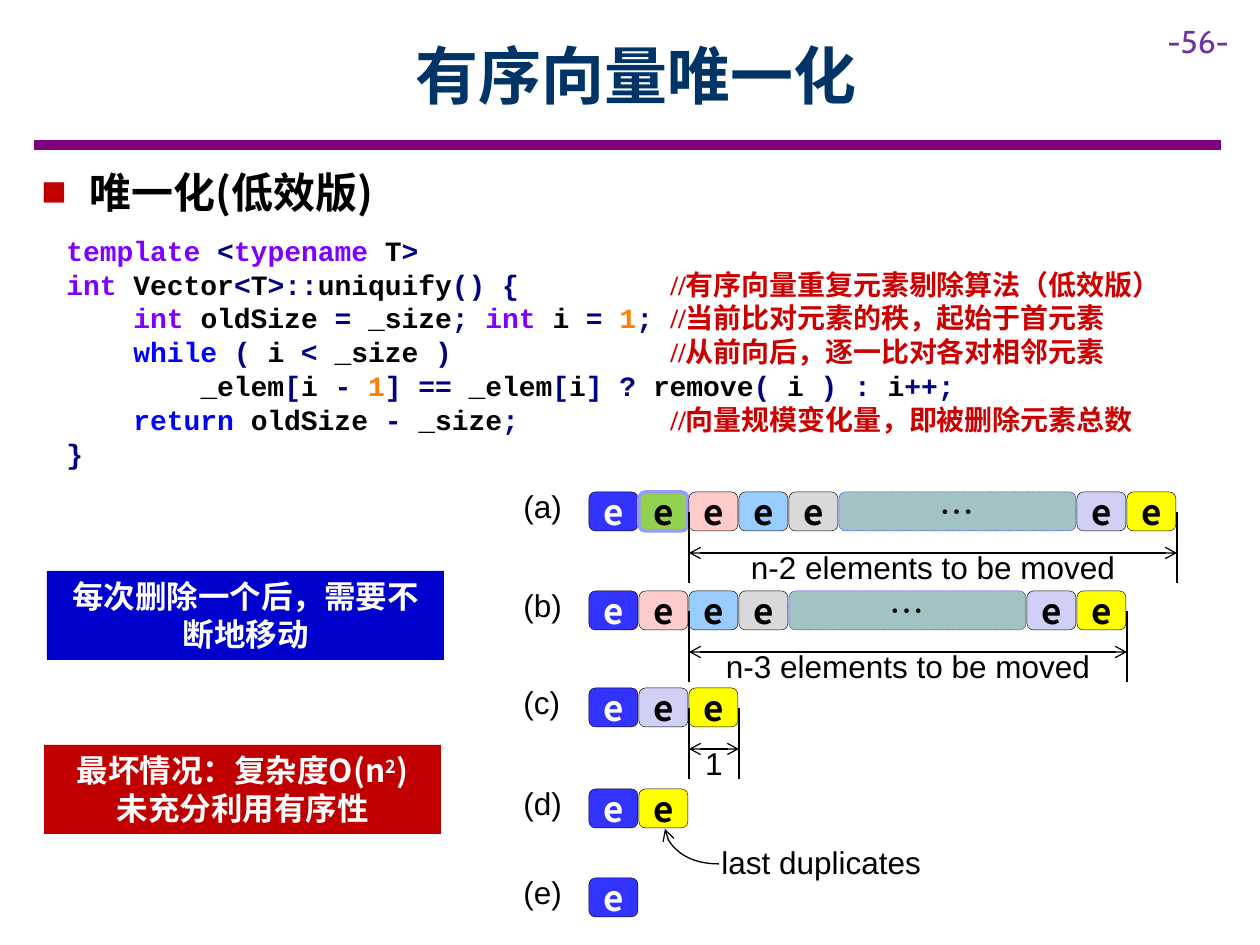
from itertools import groupby

from lxml import etree
from pptx import Presentation, util as u
from pptx.dml.color import RGBColor
from pptx.enum import dml, shapes, text
from pptx.oxml.ns import qn

PX = 914400 // 126
SANS, ARIAL = "Noto Sans CJK SC", "Arial"
CENTER, LEFT = text.PP_ALIGN.CENTER, text.PP_ALIGN.LEFT
BLACK, WHITE = "000000", "FFFFFF"

deck = Presentation()
deck.slide_width, deck.slide_height = 1260 * PX, 945 * PX
page = deck.slides.add_slide(deck.slide_layouts[6])


def write(box, lines, size, color, font=SANS, bold=False, align=LEFT, anchor=text.MSO_ANCHOR.TOP):
    """Fill a box with lines; each line is a list of (words, font overrides)."""
    frame = box.text_frame
    frame.word_wrap = True
    frame.vertical_anchor = anchor
    for index, spans in enumerate(lines):
        para = frame.add_paragraph() if index else frame.paragraphs[0]
        para.alignment = align
        for words, overrides in spans:
            span = para.add_run()
            span.text = words
            style = {"size": u.Pt(size), "name": font, "bold": bold, "color": color} | overrides
            span.font.color.rgb = RGBColor.from_string(style.pop("color"))
            for name, value in style.items():
                setattr(span.font, name, value)
            east_asian = etree.SubElement(span._r.get_or_add_rPr(), qn("a:ea"))
            east_asian.set("typeface", SANS)
    return frame


def draw_line(x1, y1, x2, y2, color=BLACK, width=0.75, arrows=(), kind=shapes.MSO_CONNECTOR.STRAIGHT):
    line = page.shapes.add_connector(kind, x1 * PX, y1 * PX, x2 * PX, y2 * PX)
    line.line.color.rgb = RGBColor.from_string(color)
    line.line.width = u.Pt(width)
    for end in arrows:
        etree.SubElement(line.line._get_or_add_ln(), qn(f"a:{end}")).set("type", "arrow")
    etree.SubElement(line._element.spPr, qn("a:effectLst"))
    return line


# Heading
draw_line(34, 145, 1221, 145, "800080", 6)
number = page.shapes.add_textbox(1155 * PX, 16 * PX, 105 * PX, 50 * PX)
write(number, [[("-56-", {})]], 18, "7030A0", "Cabin")
title = page.shapes.add_textbox(113 * PX, 11 * PX, 1047 * PX, 126 * PX)
write(title, [[("有序向量唯一化", {})]], 36, "003366", bold=True, align=CENTER,
      anchor=text.MSO_ANCHOR.MIDDLE)

topic = page.shapes.add_textbox(29 * PX, 160 * PX, 503 * PX, 63 * PX)
frame = write(topic, [[("唯一化(低效版)", {})]], 24, BLACK, bold=True)
properties = frame.paragraphs[0]._p.get_or_add_pPr()
properties.set("marL", str(48 * PX))
properties.set("indent", str(-48 * PX))
bullet_color = etree.SubElement(properties, qn("a:buClr"))
etree.SubElement(bullet_color, qn("a:srgbClr")).set("val", "C00000")
etree.SubElement(properties, qn("a:buFont")).set("typeface", ARIAL)
etree.SubElement(properties, qn("a:buChar")).set("char", "■")

# Code, coloured by kind of token
KEYWORDS = {"template": "8000FF", "typename": "8000FF", "int": "8000FF",
            "while": "0000FF", "return": "0000FF", "1": "FF8000"}
CODE = [
    ("template <typename T>", ""),
    ("int Vector<T>::uniquify() {", "//有序向量重复元素剔除算法（低效版）"),
    ("    int oldSize = _size; int i = 1;", "//当前比对元素的秩，起始于首元素"),
    ("    while ( i < _size )", "//从前向后，逐一比对各对相邻元素"),
    ("        _elem[i - 1] == _elem[i] ? remove( i ) : i++;", ""),
    ("    return oldSize - _size;", "//向量规模变化量，即被删除元素总数"),
    ("}", ""),
]
lines = []
for code, comment in CODE:
    spans = []
    for is_word, letters in groupby(code, lambda c: c.isalnum() or c in "_"):
        token = "".join(letters)
        color = KEYWORDS.get(token, BLACK) if is_word else "000080"
        spans.append((token, {"color": color}))
    if comment:
        spans += [("\t", {}), (comment, {"color": "CC0000", "name": "Times New Roman"})]
    lines.append(spans)
listing = page.shapes.add_textbox(54 * PX, 227 * PX, 1171 * PX, 251 * PX)
frame = write(listing, lines, 16, BLACK, "Courier New", True)
for para in frame.paragraphs:
    para.line_spacing = u.Pt(19.3)
    tabs = etree.SubElement(para._p.get_or_add_pPr(), qn("a:tabLst"))
    etree.SubElement(tabs, qn("a:tab"), pos=str(604 * PX), algn="l")

# Vector states, one row for each step
BLUE, GREEN, PINK, SKY, GREY = "3333FF", "92D050", "FFCCCC", "99CCFF", "D9D9D9"
REST, LILAC, YELLOW = "A3C2C2", "D0D0F5", "FFFF00"
ROWS = [
    ("(a)", 492, [BLUE, GREEN, PINK, SKY, GREY, REST, LILAC, YELLOW], "n-2 elements to be moved"),
    ("(b)", 591, [BLUE, PINK, SKY, GREY, REST, LILAC, YELLOW], "n-3 elements to be moved"),
    ("(c)", 688, [BLUE, LILAC, YELLOW], "1"),
    ("(d)", 789, [BLUE, YELLOW], ""),
    ("(e)", 878, [BLUE], ""),
]
MOVED_LEFT = 689
for name, top, fills, moved in ROWS:
    label = page.shapes.add_textbox(511 * PX, (top - 11) * PX, 84 * PX, 50 * PX)
    write(label, [[(name, {})]], 18, BLACK, ARIAL)
    left = 589
    for fill in fills:
        width = 237 if fill == REST else 49
        cell = page.shapes.add_shape(shapes.MSO_SHAPE.ROUNDED_RECTANGLE,
                                     left * PX, top * PX, width * PX, 39 * PX)
        cell.shadow.inherit = False
        cell.fill.solid()
        cell.fill.fore_color.rgb = RGBColor.from_string(fill)
        edge = {REST: BLUE, GREEN: "9999FF"}.get(fill, BLACK)
        cell.line.color.rgb = RGBColor.from_string(edge)
        cell.line.width = u.Pt(2 if fill == GREEN else 0.25)
        if fill == REST:
            cell.line.dash_style = dml.MSO_LINE.SQUARE_DOT
        frame = write(cell, [[("…" if fill == REST else "e", {})]], 20,
                      WHITE if fill == BLUE else BLACK, bold=fill != REST,
                      align=CENTER, anchor=text.MSO_ANCHOR.MIDDLE)
        for side in ("left", "top", "right", "bottom"):
            setattr(frame, f"margin_{side}", u.Inches(0.1))
        left += width + 1
    if moved:
        for x in (MOVED_LEFT, left):
            draw_line(x, top + 20, x, top + 91)
        draw_line(MOVED_LEFT, top + 61, left, top + 61, arrows=("headEnd", "tailEnd"))
        caption = page.shapes.add_textbox(MOVED_LEFT * PX, (top + 50) * PX,
                                          (left - MOVED_LEFT) * PX, 50 * PX)
        write(caption, [[(moved, {})]], 18, BLACK, ARIAL, align=CENTER)

note = page.shapes.add_textbox(709 * PX, 837 * PX, 280 * PX, 50 * PX)
write(note, [[("last duplicates", {})]], 18, BLACK, ARIAL)
curve = draw_line(719, 864, 665, 829, arrows=("tailEnd",), kind=shapes.MSO_CONNECTOR.CURVE)
curve._element.spPr.find(qn("a:prstGeom")).set("prst", "curvedConnector2")

# Remarks
REMARKS = [
    (47, 571, "0000CC", [[("每次删除一个后，需要不断地移动", {})]]),
    (44, 745, "C00000", [[("最坏情况：复杂度O(n", {}), ("2", {}), (")", {})],
                         [("未充分利用有序性", {})]]),
]
for left, top, fill, lines in REMARKS:
    remark = page.shapes.add_shape(shapes.MSO_SHAPE.RECTANGLE,
                                   left * PX, top * PX, 397 * PX, 89 * PX)
    remark.shadow.inherit = False
    remark.fill.solid()
    remark.fill.fore_color.rgb = RGBColor.from_string(fill)
    remark.line.fill.background()
    frame = write(remark, lines, 18, WHITE, bold=True, align=CENTER)
exponent = frame.paragraphs[0].runs[1]
exponent._r.get_or_add_rPr().set("baseline", "30000")

deck.save("out.pptx")
